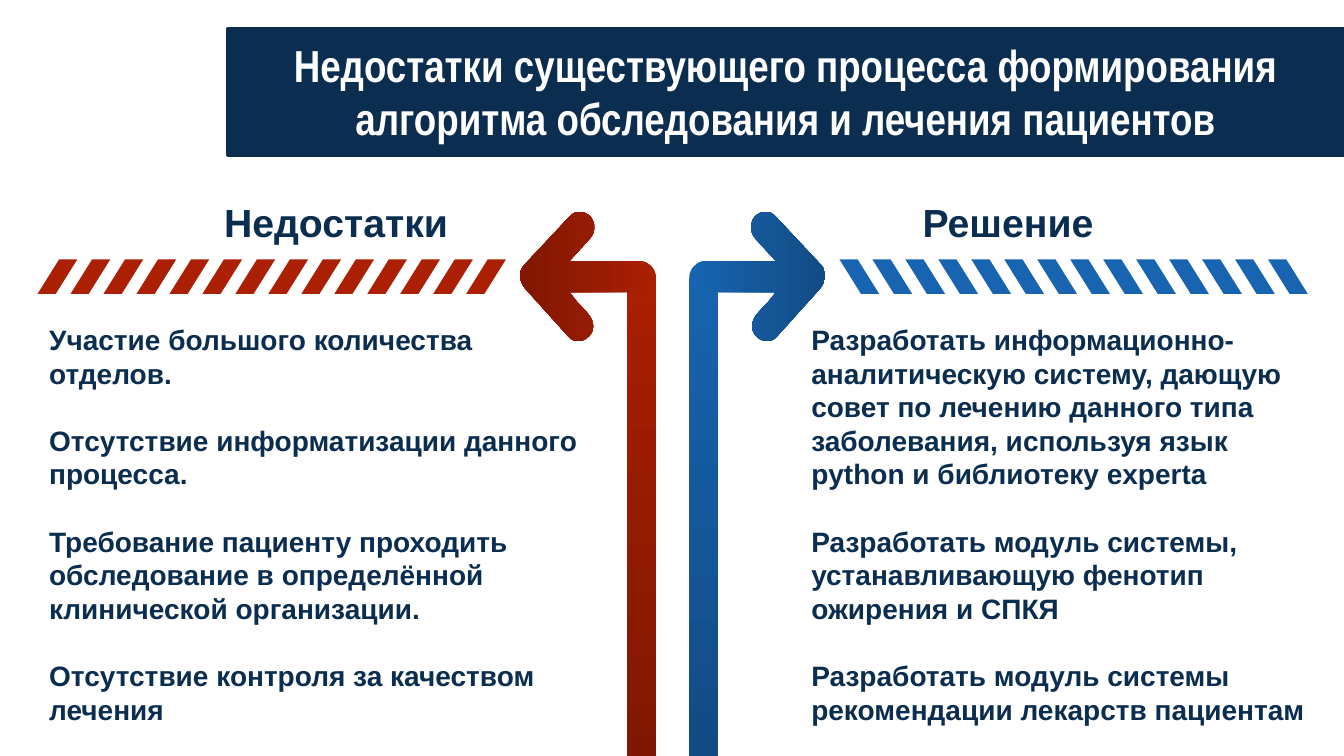
from pptx import Presentation
from pptx.dml.color import RGBColor as Rgb
from pptx.enum.text import MSO_ANCHOR as Anchor, PP_ALIGN as Align
from pptx.util import Pt

WIDE, HIGH = 960, 540
HALF = 480.5
NAVY, WHITE = "0B2D50", "FFFFFF"
REDS = ("AB1F03", "801702")
BLUES = ("1864B0", "124B84")

# Outlines in points: pairs are corners, sixes are curves
SHAFT = [(10.4, 0), (16.2, 0, 20.9, 5, 20.9, 11.5), (20.9, 352.8),
         (0, 352.8), (0, 11.5), (0, 5, 4.3, 0, 10.4, 0)]
HEAD = [(42.5, 1.4), (45.4, 1.4, 48.2, 2.9, 50.4, 5),
        (54, 9.4, 54, 16.6, 49.7, 20.9), (35.3, 36.7), (85.7, 36.7),
        (91.4, 36.7, 96.5, 41.8, 96.5, 48.2),
        (96.5, 54, 91.4, 59, 85.7, 59), (35.3, 59), (41, 66.2),
        (43.2, 68.4, 46.1, 71.3, 49, 74.9),
        (53.3, 79.9, 53.3, 87.1, 49, 90.7),
        (44.6, 95, 38.2, 95, 34.6, 90.7), (3.6, 56.2),
        (1.4, 53.3, 0, 50.4, 0, 46.8), (0, 43.9, 1.4, 41, 3.6, 38.9),
        (35.3, 5), (37.4, 2.9, 39.6, 1.4, 42.5, 1.4)]
STRIPE = [(15.5, 0), (28.5, 0), (13, 24.8), (0, 24.8)]
COUNT, PITCH = 14, 23.55

FLAWS = ["Участие большого количества отделов.",
         "Отсутствие информатизации данного процесса.",
         "Требование пациенту проходить обследование в определённой "
         "клинической организации.",
         "Отсутствие контроля за качеством лечения"]
FIXES = ["Разработать информационно-аналитическую систему, дающую совет "
         "по лечению данного типа заболевания, используя язык python "
         "и библиотеку experta",
         "Разработать модуль системы, устанавливающую фенотип ожирения "
         "и СПКЯ",
         "Разработать модуль системы рекомендации лекарств пациентам"]


def color(code):
    return Rgb.from_string(code)


def trace(outline, steps=8):
    """Turn corners and cubic curves into a list of points."""
    dots = []
    for part in outline:
        if len(part) == 2:
            dots.append(part)
            continue
        a, b, c, d = dots[-1], part[:2], part[2:4], part[4:]
        for i in range(1, steps + 1):
            t = i / steps
            u = 1 - t
            dots.append(tuple(
                u**3 * a[k] + 3 * u * u * t * b[k]
                + 3 * u * t * t * c[k] + t**3 * d[k] for k in (0, 1)))
    return dots


def draw(slide, outline, left, top, flip):
    """Draw an outline in the left half, or mirrored in the right one."""
    dots = [(left + x, top + y) for x, y in trace(outline)]
    if flip:
        dots = [(2 * HALF - x, y) for x, y in dots]
    dots = [(Pt(x), Pt(y)) for x, y in dots]
    pen = slide.shapes.build_freeform(*dots[0])
    pen.add_line_segments(dots[1:], close=True)
    shape = pen.convert_to_shape()
    shape.shadow.inherit = False
    shape.line.fill.background()
    return shape


def shade(shape, pair, angle):
    shape.fill.gradient()
    shape.fill.gradient_angle = angle
    for stop, code in zip(shape.fill.gradient_stops, pair):
        stop.color.rgb = color(code)


def style(para, size, code, name="Arial"):
    font = para.font
    font.size, font.bold, font.name = Pt(size), True, name
    font.color.rgb = color(code)


def write(slide, box, lines, size, align, gap=0):
    frame = slide.shapes.add_textbox(*map(Pt, box)).text_frame
    frame.word_wrap = True
    for i, line in enumerate(lines):
        para = frame.paragraphs[0] if i == 0 else frame.add_paragraph()
        para.text, para.alignment = line, align
        if i:
            para.space_before = Pt(gap)
        style(para, size, NAVY)


def banner(slide, box):
    title = slide.shapes.title
    title.left, title.top, title.width, title.height = map(Pt, box)
    title.fill.solid()
    title.fill.fore_color.rgb = color(NAVY)
    title.line.color.rgb = color(NAVY)
    title.line.width = Pt(2)
    frame = title.text_frame
    frame.word_wrap = True
    frame.vertical_anchor = Anchor.TOP
    frame.margin_top = Pt(6.5)
    frame.text = ("Недостатки существующего процесса формирования "
                  "алгоритма обследования и лечения пациентов")
    para = frame.paragraphs[0]
    para.alignment, para.line_spacing = Align.CENTER, 1.0
    style(para, 32, WHITE, "Arial Narrow")


def column(slide, left, head, items, body, pair, flip):
    # Bent arrow
    shade(draw(slide, SHAFT, 447.8, 187.2, flip), pair, 270)
    shade(draw(slide, HEAD, 371.5, 149.8, flip), pair, 0 if flip else 180)
    # Striped band
    for i in range(COUNT):
        bar = draw(slide, STRIPE, 26.8 + i * PITCH, 185.2, flip)
        bar.fill.solid()
        bar.fill.fore_color.rgb = color(pair[0])
    # Heading and points
    write(slide, (left, 138.2, WIDE / 2, 41), [head], 28, Align.CENTER)
    inset, width = body
    write(slide, (left + inset, 226.8, width, 300), items, 20,
          Align.LEFT, 24)


def main():
    deck = Presentation()
    deck.slide_width, deck.slide_height = Pt(WIDE), Pt(HIGH)
    slide = deck.slides.add_slide(deck.slide_layouts[5])
    banner(slide, (162.7, 20.2, WIDE - 162.7, 90.7))
    column(slide, 0, "Недостатки", FLAWS, (28, 402), REDS, False)
    column(slide, WIDE / 2, "Решение", FIXES, (92.4, 372), BLUES, True)
    deck.save("out.pptx")


if __name__ == "__main__":
    main()
